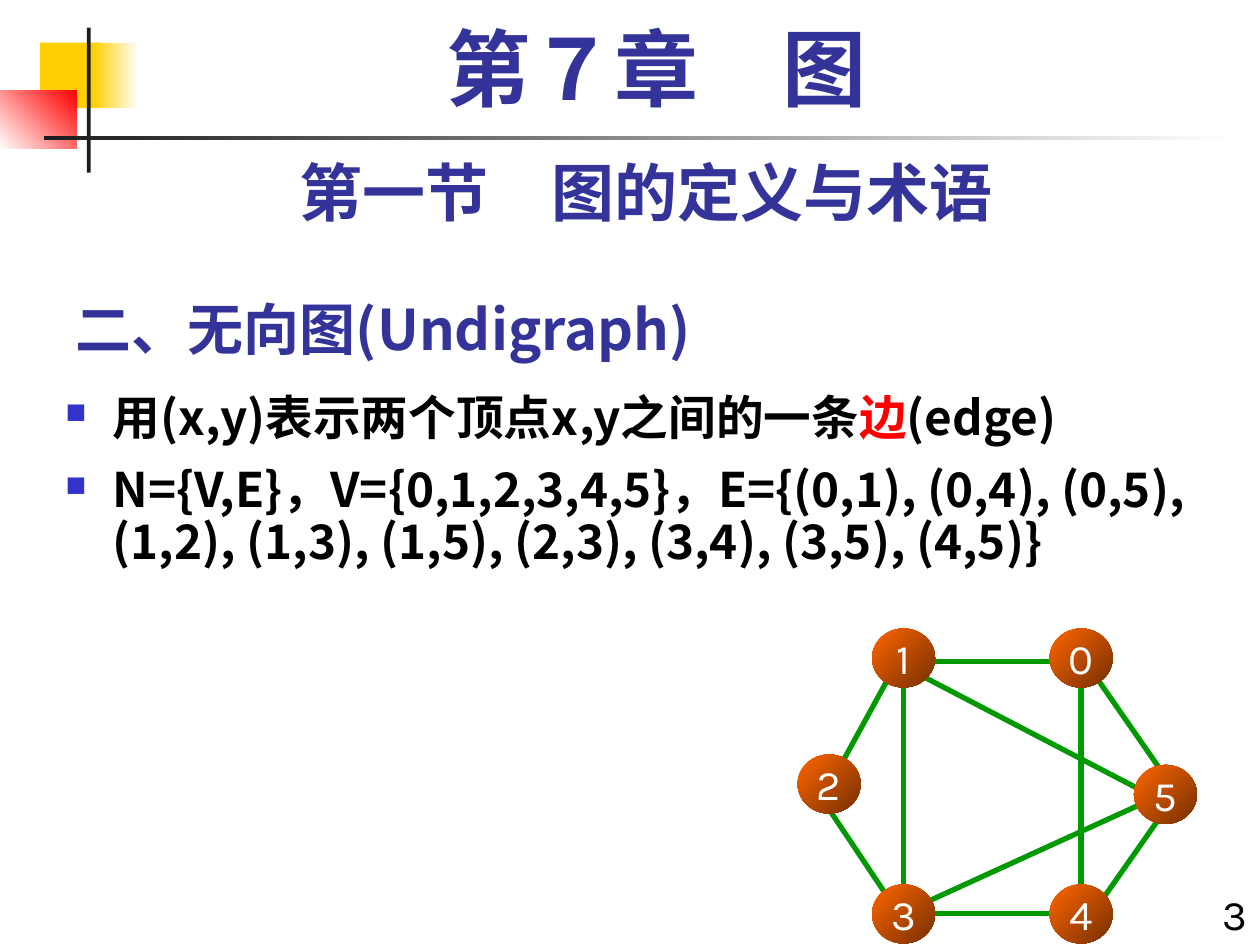
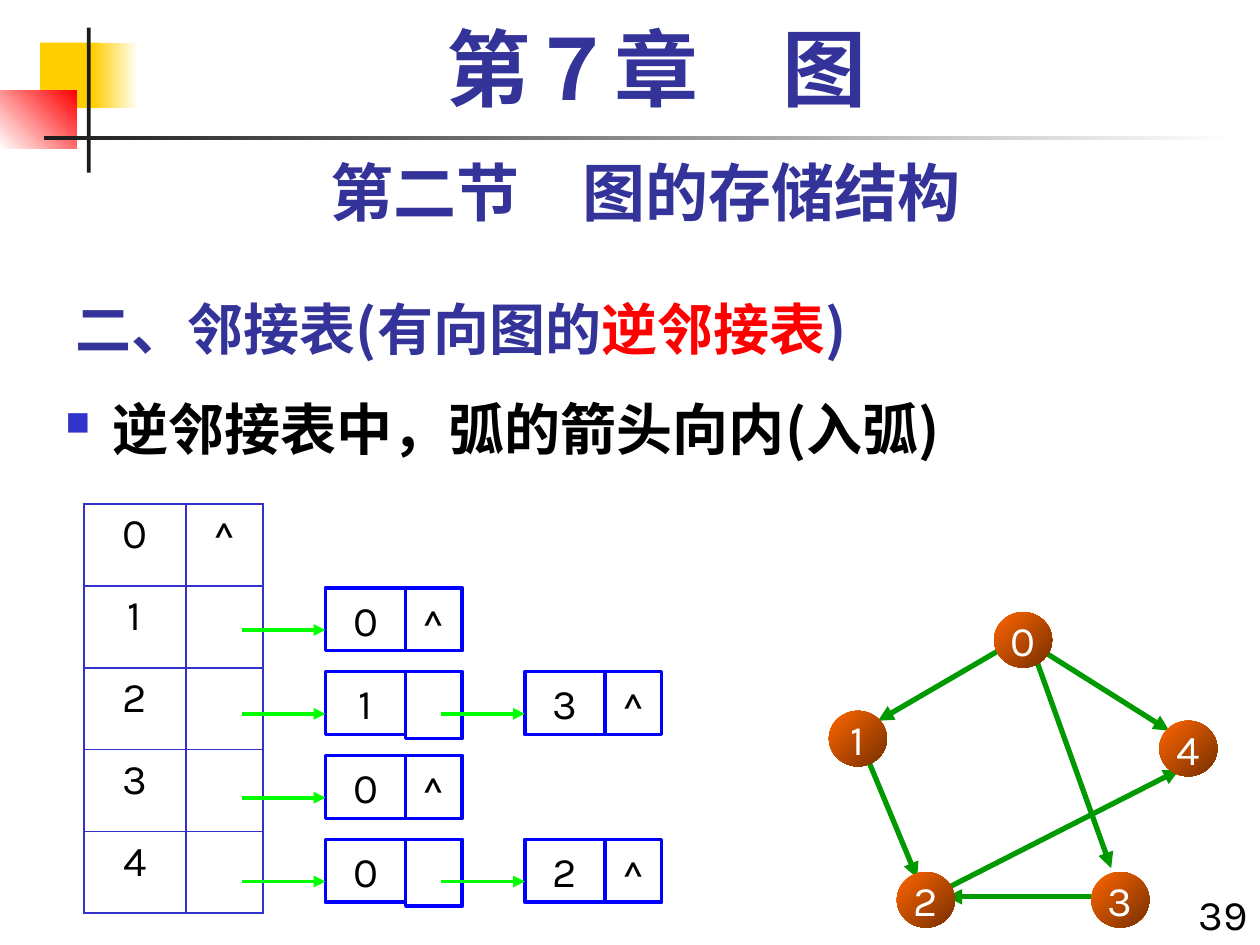
from lxml import etree
from pptx import Presentation
from pptx import util as u
from pptx.dml.color import RGBColor
from pptx.enum import shapes, text
from pptx.oxml import ns

COLORS = {
    "navy": "333399", "black": "000000", "white": "FFFFFF", "red": "FF0000",
    "yellow": "FFCF01", "dark": "1C1C1C", "bullet": "3333CC", "edge": "009900",
    "orange": "FF6600", "brown": "762F00", "box": "0000FF", "pointer": "00FF00",
}
RGB = {name: RGBColor.from_string(value) for name, value in COLORS.items()}
CJK, LATIN = "Noto Sans CJK SC", "Karla"
CENTER, RIGHT = text.PP_ALIGN.CENTER, text.PP_ALIGN.RIGHT
RECT, OVAL = shapes.MSO_SHAPE.RECTANGLE, shapes.MSO_SHAPE.OVAL

# Text styles: span font, then paragraph format
STYLES = {
    "chapter": ({"name": "Times New Roman", "size": u.Pt(48), "bold": True},
                {"alignment": CENTER, "line_spacing": 0.9}),
    "section": ({"name": LATIN, "size": u.Pt(36), "bold": True}, {"alignment": CENTER}),
    "heading": ({"name": CJK, "size": u.Pt(32), "bold": True},
                {"alignment": text.PP_ALIGN.LEFT}),
    "dense": ({"name": CJK, "size": u.Pt(27.2), "bold": True}, {"line_spacing": 0.9}),
    "body": ({"name": CJK, "size": u.Pt(32), "bold": True}, {}),
    "label": ({"name": LATIN, "size": u.Pt(24)}, {"alignment": CENTER}),
    "number": ({"name": LATIN, "size": u.Pt(24)}, {"alignment": RIGHT}),
}


def write(frame, paragraphs, style, bullets=False):
    """Fill a text frame; each paragraph is a list of (wording, color) spans."""
    font_format, para_format = STYLES[style]
    for index, spans in enumerate(paragraphs):
        para = frame.add_paragraph() if index else frame.paragraphs[0]
        if bullets:
            props = para._p.get_or_add_pPr()
            props.set("marL", str(u.Cm(0.95)))
            props.set("indent", str(u.Cm(-0.95)))
            color = etree.SubElement(props, ns.qn("a:buClr"))
            etree.SubElement(color, ns.qn("a:srgbClr"), val=COLORS["bullet"])
            etree.SubElement(props, ns.qn("a:buSzPct"), val="60000")
            etree.SubElement(props, ns.qn("a:buChar"), char="■")
        for key, value in para_format.items():
            setattr(para, key, value)
        if index:
            para.space_before = u.Pt(12)
        for wording, color in spans:
            span = para.add_run()
            span.text = wording
            for key, value in font_format.items():
                setattr(span.font, key, value)
            span.font.color.rgb = RGB[color]
            etree.SubElement(span._r.get_or_add_rPr(), ns.qn("a:ea"), typeface=CJK)


def draw_line(page, ends, color, width, arrow):
    line = page.shapes.add_connector(
        shapes.MSO_CONNECTOR.STRAIGHT, *[u.Cm(value) for value in ends])
    line.line.color.rgb = RGB[color]
    line.line.width = u.Pt(width)
    if arrow:
        etree.SubElement(line.line._get_or_add_ln(), ns.qn("a:tailEnd"), type="triangle")
    etree.SubElement(line._element.spPr, ns.qn("a:effectLst"))


# Corner ornament: left, top, width, height, colors, gradient angle
ORNAMENT = [
    (0.81, 0.86, 1.22, 1.32, ["yellow"], 0),
    (1.88, 0.86, 0.91, 1.32, ["yellow", "white"], 0),
    (0, 1.83, 1.55, 1.17, ["white", "red"], 45),
    (1.75, 0.56, 0.08, 2.92, ["dark"], 0),
    (0.89, 2.74, 24, 0.08, ["dark", "white"], 0),
]

PAGES = [
    {
        "section": "第一节　图的定义与术语",
        "heading": [("二、无向图(Undigraph)", "navy")],
        "heading_width": 15.88,
        "number": "3",
        "body_style": "dense",
        "body_height": 6.99,
        "body": [
            [("用(x,y)表示两个顶点x,y之间的一条", "black"), ("边", "red"), ("(edge)", "black")],
            [("N={V,E}，V={0,1,2,3,4,5}，E={(0,1), (0,4), (0,5), (1,2), (1,3), "
              "(1,5), (2,3), (3,4), (3,5), (4,5)}", "black")],
        ],
        "directed": False,
        "edges": [
            (21.39, 13.34, 18.85, 13.34), (21.79, 13.77, 21.79, 17.98),
            (22.02, 13.54, 23.5, 15.67), (17.98, 13.54, 16.94, 15.44),
            (18.21, 18.21, 18.21, 13.77), (23.29, 16.08, 18.42, 13.54),
            (17.98, 18.21, 16.71, 16.31), (21.59, 18.42, 18.42, 18.42),
            (23.29, 16.08, 18.62, 18.21), (23.5, 16.31, 22.02, 18.42),
        ],
        "vertex_size": (1.27, 1.19),
        "vertices": {"1": (17.58, 12.67), "3": (17.58, 17.83), "2": (16.08, 15.21),
                     "5": (22.86, 15.42), "4": (21.16, 17.83), "0": (21.16, 12.67)},
    },
    {
        "section": "第二节　图的存储结构",
        "heading": [("二、邻接表(有向图的", "navy"), ("逆邻接表", "red"), (")", "navy")],
        "heading_width": 18.42,
        "number": "39",
        "body_style": "body",
        "body_height": 11.23,
        "body": [[("逆邻接表中，弧的箭头向内(入弧)", "black")]],
        "directed": True,
        "edges": [
            (21.03, 13.13, 23.57, 14.73), (17.5, 15.32, 18.49, 17.7),
            (20.45, 12.93, 17.7, 14.53), (20.83, 13.13, 22.4, 17.5),
            (22, 18.08, 19.08, 18.08), (19.08, 17.91, 23.77, 15.52),
        ],
        "vertex_size": (1.17, 1.12),
        "vertices": {"1": (16.71, 14.33), "3": (22, 17.58), "2": (18.08, 17.58),
                     "4": (23.37, 14.53), "0": (20.04, 12.34)},
    },
]

deck = Presentation()
deck.slide_width, deck.slide_height = u.Cm(25.4), u.Cm(19.05)

for content in PAGES:
    page = deck.slides.add_slide(deck.slide_layouts[5])

    # Ornament and rule
    for left, top, width, height, colors, angle in ORNAMENT:
        block = page.shapes.add_shape(RECT, u.Cm(left), u.Cm(top), u.Cm(width), u.Cm(height))
        block.shadow.inherit = False
        block.line.fill.background()
        if len(colors) == 1:
            block.fill.solid()
            block.fill.fore_color.rgb = RGB[colors[0]]
        else:
            block.fill.gradient()
            block.fill.gradient_angle = angle
            for stop, color in zip(block.fill.gradient_stops, colors):
                stop.color.rgb = RGB[color]

    # Heading
    title = page.shapes.title
    place = {"left": 1.27, "top": 5.51, "width": content["heading_width"], "height": 1.9}
    for key, value in place.items():
        setattr(title, key, u.Cm(value))
    title.text_frame.auto_size = text.MSO_AUTO_SIZE.NONE
    title.text_frame.vertical_anchor = text.MSO_ANCHOR.BOTTOM
    write(title.text_frame, [content["heading"]], "heading")

    # Page number, section, body and chapter
    for place, style, paragraphs in [
        ((23.7, 17.78, 1.7, 1.5), "number", [[(content["number"], "black")]]),
        ((1.27, 2.97, 23.5, 1.78), "section", [[(content["section"], "navy")]]),
        ((1.07, 7.82, 24.33, content["body_height"]), content["body_style"], content["body"]),
        ((1.7, 0.43, 23.06, 2.11), "chapter", [[("第７章　图", "navy")]]),
    ]:
        box = page.shapes.add_textbox(*[u.Cm(value) for value in place])
        box.text_frame.word_wrap = True
        write(box.text_frame, paragraphs, style, bullets=style in ("dense", "body"))

    # Graph: edges below, vertices on top
    for ends in content["edges"]:
        draw_line(page, ends, "edge", 3, content["directed"])
    width, height = content["vertex_size"]
    for name, (left, top) in content["vertices"].items():
        vertex = page.shapes.add_shape(OVAL, u.Cm(left), u.Cm(top), u.Cm(width), u.Cm(height))
        vertex.shadow.inherit = False
        vertex.line.fill.background()
        vertex.fill.gradient()
        vertex.fill.gradient_angle = 315
        for stop, color in zip(vertex.fill.gradient_stops, ("orange", "brown")):
            stop.color.rgb = RGB[color]
        frame = vertex.text_frame
        for key, value in {"margin_left": 0, "margin_right": 0, "word_wrap": False,
                           "vertical_anchor": text.MSO_ANCHOR.MIDDLE}.items():
            setattr(frame, key, value)
        write(frame, [[(name, "white")]], "label")

# Vertex table of the inverse adjacency list, on the last page
ROW_HEIGHT, COLUMN_WIDTHS = 1.65, (2.06, 1.55)
table = page.shapes.add_table(5, 2, u.Cm(1.69), u.Cm(10.16), u.Cm(sum(COLUMN_WIDTHS)),
                              u.Cm(5 * ROW_HEIGHT)).table
table.first_row = table.horz_banding = False
for column, width in zip(table.columns, COLUMN_WIDTHS):
    column.width = u.Cm(width)
for index, row in enumerate(table.rows):
    row.height = u.Cm(ROW_HEIGHT)
    for cell, wording in zip(row.cells, (str(index), "" if index else "^")):
        if wording:
            write(cell.text_frame, [[(wording, "black")]], "label")
        props = cell._tc.get_or_add_tcPr()
        for side in ("a:lnL", "a:lnR", "a:lnT", "a:lnB"):
            border = etree.SubElement(props, ns.qn(side), w=str(u.Pt(1.08)))
            paint = etree.SubElement(border, ns.qn("a:solidFill"))
            etree.SubElement(paint, ns.qn("a:srgbClr"), val=COLORS["bullet"])
        cell.fill.background()

# Linked nodes: one chain per vertex 1 to 4
CHAINS = ["0", "13", "0", "02"]
VALUE_WIDTH, LINK_WIDTH, NODE_HEIGHT = 1.62, 1.14, 1.27
for row, chain in enumerate(CHAINS):
    top = 11.85 + row * 1.69
    for step, value in enumerate(chain):
        left = 6.56 + step * 4.02
        last = step == len(chain) - 1
        for x, width, height, wording in [
            (left, VALUE_WIDTH, NODE_HEIGHT, value),
            (left + VALUE_WIDTH, LINK_WIDTH, NODE_HEIGHT if last else 1.35, "^" if last else ""),
        ]:
            node = page.shapes.add_shape(RECT, u.Cm(x), u.Cm(top), u.Cm(width), u.Cm(height))
            node.shadow.inherit = False
            node.fill.background()
            node.line.color.rgb = RGB["box"]
            node.line.width = u.Pt(2)
            node.text_frame.vertical_anchor = text.MSO_ANCHOR.TOP
            if wording:
                write(node.text_frame, [[(wording, "black")]], "label")
    for step in range(len(chain)):
        left = 6.56 + step * 4.02
        draw_line(page, (left - 1.69, top + 0.85, left, top + 0.85), "pointer", 2.25, True)

deck.save("out.pptx")
